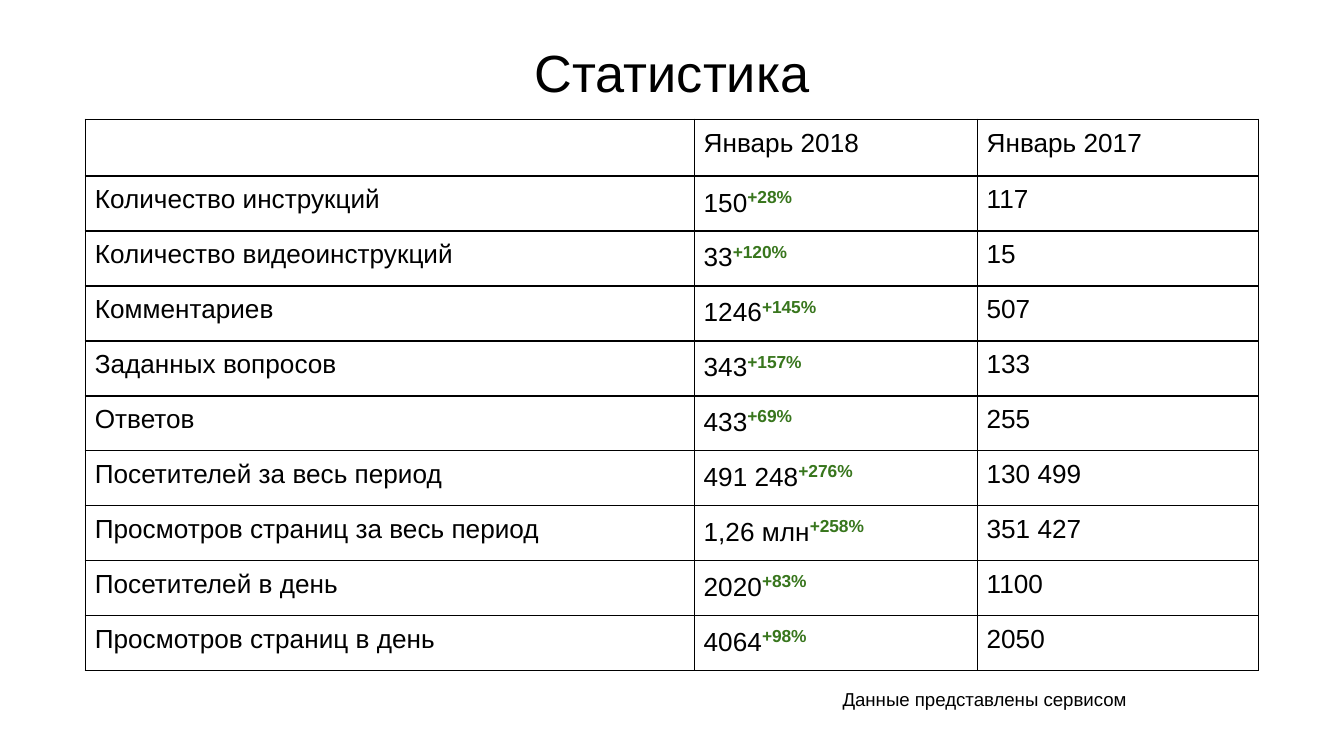
from dataclasses import dataclass

from lxml.etree import SubElement
from pptx import Presentation
from pptx.dml.color import RGBColor
from pptx.enum.text import MSO_ANCHOR, PP_ALIGN
from pptx.oxml.ns import qn
from pptx.util import Pt


@dataclass(frozen=True)
class Theme:
    font: str = "Arial"
    ink: str = "000000"
    growth: str = "38761D"
    title_size: int = 28
    body_size: int = 14
    growth_size: int = 16
    note_size: int = 10
    border_width: int = 1
    cell_margin: int = 5


HEADER = ("", "Январь 2018", "Январь 2017")
STATISTICS = [
    ("Количество инструкций", "150", "+28%", "117"),
    ("Количество видеоинструкций", "33", "+120%", "15"),
    ("Комментариев", "1246", "+145%", "507"),
    ("Заданных вопросов", "343", "+157%", "133"),
    ("Ответов", "433", "+69%", "255"),
    ("Посетителей за весь период", "491 248", "+276%", "130 499"),
    ("Просмотров страниц за весь период", "1,26 млн", "+258%", "351 427"),
    ("Посетителей в день", "2020", "+83%", "1100"),
    ("Просмотров страниц в день", "4064", "+98%", "2050"),
]
COLUMN_WIDTHS = (326.2, 151.6, 150.6)
HEADER_HEIGHT = 30.2
ROW_HEIGHT = 29.48


def set_all(target, values):
    for name, value in values.items():
        setattr(target, name, value)


class SlideBuilder:
    def __init__(self, slide, theme):
        self.slide = slide
        self.theme = theme

    def add_run(self, paragraph, text, size, color=None, bold=False):
        run = paragraph.add_run()
        run.text = text
        set_all(run.font, {"name": self.theme.font, "size": Pt(size), "bold": bold})
        run.font.color.rgb = RGBColor.from_string(color or self.theme.ink)
        return run

    def add_text(self, text, box, size, align=PP_ALIGN.LEFT, inset_top=7.2):
        shape = self.slide.shapes.add_textbox(*map(Pt, box))
        set_all(shape.text_frame, {
            "word_wrap": True, "vertical_anchor": MSO_ANCHOR.TOP,
            "margin_left": Pt(7.2), "margin_right": Pt(7.2),
            "margin_top": Pt(inset_top), "margin_bottom": Pt(0),
        })
        paragraph = shape.text_frame.paragraphs[0]
        paragraph.alignment = align
        self.add_run(paragraph, text, size)

    def add_borders(self, cell):
        properties = cell._tc.get_or_add_tcPr()
        for position, side in enumerate(("lnL", "lnR", "lnT", "lnB")):
            line = SubElement(properties, qn(f"a:{side}"),
                              w=str(Pt(self.theme.border_width)))
            fill = SubElement(line, qn("a:solidFill"))
            SubElement(fill, qn("a:srgbClr"), val=self.theme.ink)
            properties.insert(position, line)

    def fill_cell(self, cell, text, growth=""):
        """Write a value, with its growth as a superscript when given."""
        margin = Pt(self.theme.cell_margin)
        set_all(cell, {
            "margin_left": margin, "margin_right": margin,
            "margin_top": margin, "margin_bottom": margin,
            "vertical_anchor": MSO_ANCHOR.TOP,
        })
        cell.fill.background()
        self.add_borders(cell)
        paragraph = cell.text_frame.paragraphs[0]
        if text:
            self.add_run(paragraph, text, self.theme.body_size)
        else:
            SubElement(paragraph._p, qn("a:endParaRPr"),
                       sz=str(self.theme.body_size * 100))
        if growth:
            run = self.add_run(paragraph, growth, self.theme.growth_size,
                               self.theme.growth, bold=True)
            run._r.get_or_add_rPr().set("baseline", "30000")

    def add_statistics_table(self, left, top):
        heights = [HEADER_HEIGHT] + [ROW_HEIGHT] * len(STATISTICS)
        table = self.slide.shapes.add_table(
            len(heights), len(COLUMN_WIDTHS), Pt(left), Pt(top),
            Pt(sum(COLUMN_WIDTHS)), Pt(sum(heights))).table
        set_all(table, {"first_row": False, "horz_banding": False})
        for column, width in zip(table.columns, COLUMN_WIDTHS):
            column.width = Pt(width)
        for row, height in zip(table.rows, heights):
            row.height = Pt(height)
        for column, text in enumerate(HEADER):
            self.fill_cell(table.cell(0, column), text)
        for row, (label, current, growth, previous) in enumerate(STATISTICS, 1):
            self.fill_cell(table.cell(row, 0), label)
            self.fill_cell(table.cell(row, 1), current, growth)
            self.fill_cell(table.cell(row, 2), previous)


def main():
    presentation = Presentation()
    set_all(presentation, {"slide_width": Pt(720), "slide_height": Pt(405)})
    slide = presentation.slides.add_slide(presentation.slide_layouts[6])
    theme = Theme()
    builder = SlideBuilder(slide, theme)
    builder.add_text("Статистика", (24.5, 10.8, 671, 45.4), theme.title_size,
                     PP_ALIGN.CENTER, inset_top=10.6)
    builder.add_statistics_table(45.8, 64)
    builder.add_text("Данные представлены сервисом", (444.3, 361.5, 175, 28.8),
                     theme.note_size)
    presentation.save("out.pptx")


if __name__ == "__main__":
    main()
